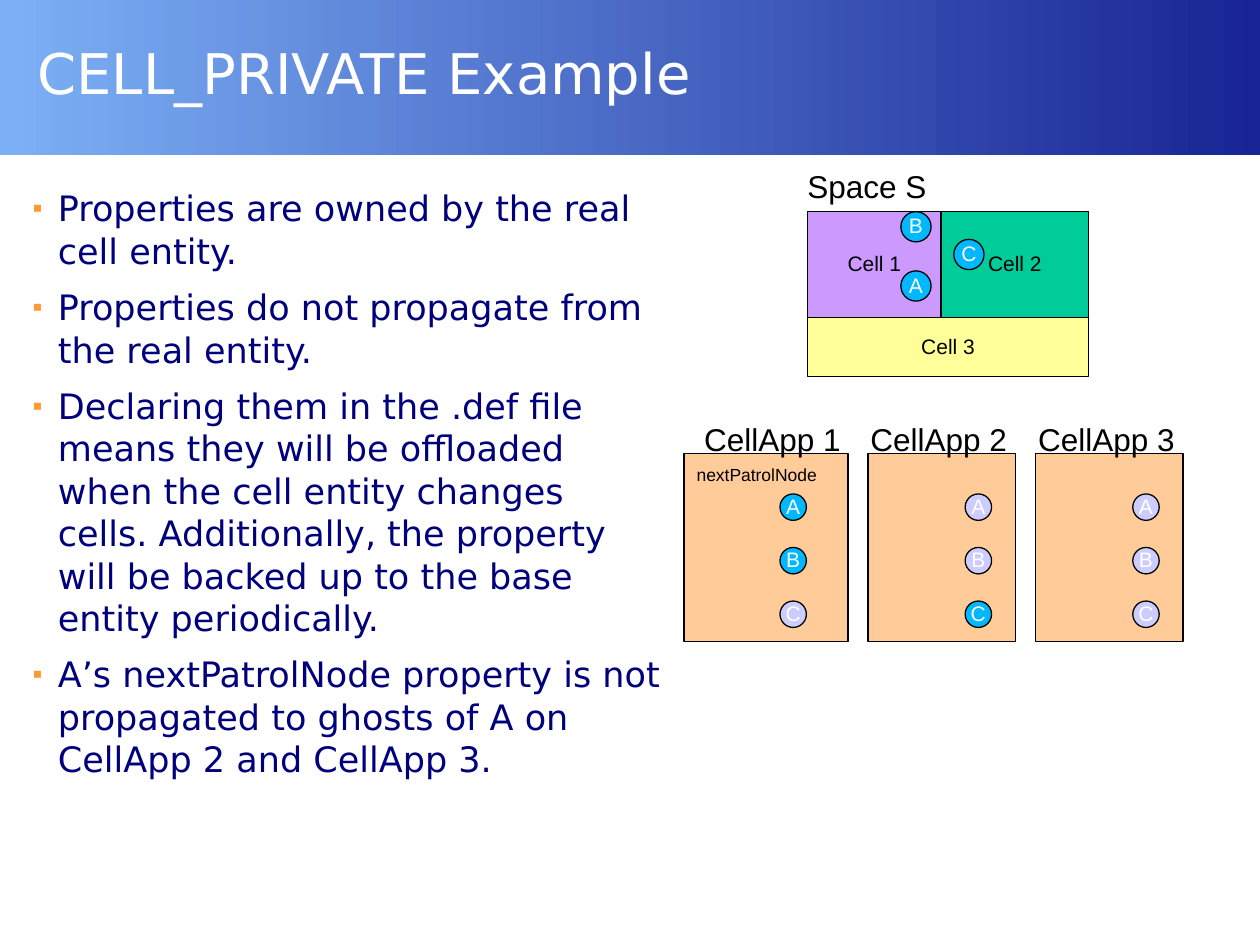
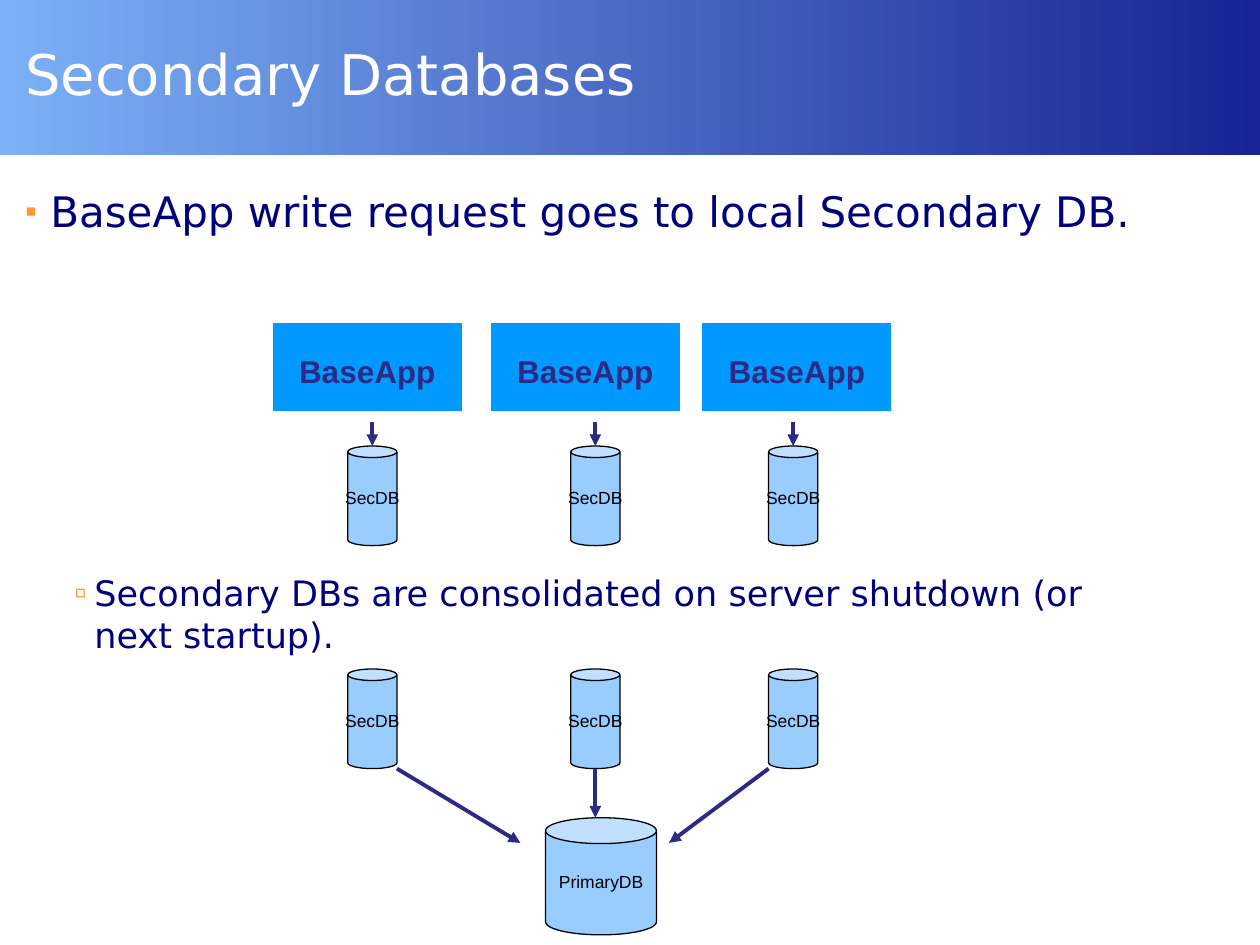
"""Builds two slides on private cell properties and secondary databases."""
import pptx
import pptx.dml.color
import pptx.enum.dml
import pptx.enum.shapes
import pptx.enum.text
import pptx.oxml.ns
import pptx.util
from lxml import etree

COLUMNS, ROWS = 100, 75
WIDTH, HEIGHT = pptx.util.Inches(10), pptx.util.Inches(7.5)
SHAPES = pptx.enum.shapes.MSO_SHAPE
ALIGN = pptx.enum.text.PP_ALIGN
ANCHOR = pptx.enum.text.MSO_ANCHOR

WHITE, BLACK, NAVY, INDIGO = "FFFFFF", "000000", "00007D", "2B2B85"
BAND_LIGHT, BAND_DARK, ORANGE = "7CB0F6", "182494", "FF9933"
PEACH, SKY, APP_BLUE, REAL, GHOST = "FFCC99", "99CCFF", "0099FF", "00B8FF", "CCCCFF"
HEADING_FONT, LABEL_FONT = "DejaVu Sans", "Arial"
SHAPE_INSETS, LABEL_INSETS, NO_INSETS = (1, 0.5, 1, 0.5), (1, 0.5, 0, 0.5), (0, 0, 0, 0)

TITLE_FORMAT = dict(name=HEADING_FONT, size=32, color=WHITE)
LABEL_FORMAT = dict(name=LABEL_FONT, size=18, color=BLACK)
CELL_FORMAT = dict(LABEL_FORMAT, size=12)
SMALL_FORMAT = dict(LABEL_FORMAT, size=10)
DOT_FORMAT = dict(CELL_FORMAT, color=WHITE)
APP_FORMAT = dict(LABEL_FORMAT, color=INDIGO, bold=True)

MAIN_BULLET = dict(mark="▪", left=2, hang=2, percent=80, before=8, level=0)
SUB_BULLET = dict(mark="▫", left=3.6, hang=1.6, percent=100, before=7, level=1)

PRIVATE_TITLE = "CELL_PRIVATE Example"
PRIVATE_POINTS = [
    "Properties are owned by the real cell entity.",
    "Properties do not propagate from the real entity.",
    "Declaring them in the .def file means they will be offloaded when the cell entity "
    "changes cells. Additionally, the property will be backed up to the base entity "
    "periodically.",
    "A’s nextPatrolNode property is not propagated to ghosts of A on CellApp 2 and CellApp 3.",
]
SPACE_LABEL = "Space S"
CELLS = [
    ("Cell 1", "CC99FF", (64.1, 16.8, 10.6, 8.4)),
    ("Cell 2", "00CC99", (74.7, 16.8, 11.7, 8.4)),
    ("Cell 3", "FFFF99", (64.1, 25.2, 22.3, 4.7)),
]
SPACE_ENTITIES = [("A", 71.5, 21.5), ("B", 71.5, 16.8), ("C", 75.7, 19)]
CELL_APPS = [
    dict(label="CellApp 1", label_x=54.9, x=54.3, width=13, dot_x=61.9, real="AB"),
    dict(label="CellApp 2", label_x=68.1, x=68.9, width=11.7, dot_x=76.6, real="C"),
    dict(label="CellApp 3", label_x=81.4, x=82.2, width=11.7, dot_x=89.9, real=""),
]
ENTITIES = "ABC"
PROPERTY = "nextPatrolNode"

DATABASE_TITLE = "Secondary Databases"
WRITE_POINT = "BaseApp write request goes to local Secondary DB."
MERGE_POINT = "Secondary DBs are consolidated on server shutdown (or next startup)."
BASE_APP, SECONDARY, PRIMARY = "BaseApp", "SecDB", "PrimaryDB"
BASE_APP_COLUMNS = [21.6, 38.9, 55.7]
DATABASE_COLUMNS = [27.6, 45.3, 61]
DATABASE_WIDTH, DATABASE_HEIGHT = 3.9, 7.9
WRITE_ROW, MERGE_ROW = 35.4, 53.1
PRIMARY_PLACE = (43.3, 64.9, 8.8, 9.3)


def across(columns):
    return round(WIDTH * columns / COLUMNS)


def down(rows):
    return round(HEIGHT * rows / ROWS)


def area(place):
    x, y, width, height = place
    return across(x), down(y), across(width), down(height)


def rgb(value):
    return pptx.dml.color.RGBColor.from_string(value)


def add_element(parent, tag, **attributes):
    element = etree.SubElement(parent, pptx.oxml.ns.qn(tag))
    for name, value in attributes.items():
        element.set(name, str(value))
    return element


def add_bullet(para, bullet):
    props = para._p.get_or_add_pPr()
    props.set("marL", str(across(bullet["left"])))
    props.set("indent", str(-across(bullet["hang"])))
    add_element(add_element(props, "a:buClr"), "a:srgbClr", val=ORANGE)
    add_element(props, "a:buSzPct", val=bullet["percent"] * 1000)
    add_element(props, "a:buFont", typeface=LABEL_FONT)
    add_element(props, "a:buChar", char=bullet["mark"])


def write(box, lines, style, insets=LABEL_INSETS, wrap=False, anchor=ANCHOR.TOP,
          align=ALIGN.LEFT, spacing=0.93, bullet=None):
    frame = box.text_frame
    left, top, right, bottom = insets
    settings = dict(word_wrap=wrap, vertical_anchor=anchor,
                    margin_left=across(left), margin_top=down(top),
                    margin_right=across(right), margin_bottom=down(bottom))
    for name, value in settings.items():
        setattr(frame, name, value)
    for index, line in enumerate(lines):
        para = frame.add_paragraph() if index else frame.paragraphs[0]
        para.alignment, para.line_spacing = align, spacing
        if bullet:
            para.level = bullet["level"]
            if index:
                para.space_before = pptx.util.Pt(bullet["before"])
            add_bullet(para, bullet)
        span = para.add_run()
        span.text = line
        for name, value in style.items():
            if name == "color":
                span.font.color.rgb = rgb(value)
            else:
                setattr(span.font, name, pptx.util.Pt(value) if name == "size" else value)


def add_text(page, place, lines, style, **options):
    write(page.shapes.add_textbox(*area(place)), lines, style, **options)


def add_bullets(page, place, lines, size, bullet, insets=NO_INSETS):
    style = dict(name=HEADING_FONT, size=size, color=NAVY)
    add_text(page, place, lines, style, insets=insets, wrap=True, spacing=1.01, bullet=bullet)


def add_figure(page, kind, place, fill, text="", style=CELL_FORMAT, outline=BLACK,
               insets=SHAPE_INSETS):
    shape = page.shapes.add_shape(kind, *area(place))
    shape.shadow.inherit = False
    shape.fill.solid()
    shape.fill.fore_color.rgb = rgb(fill)
    shape.line.color.rgb = rgb(outline)
    shape.line.width = pptx.util.Pt(0.75)
    if kind == SHAPES.CAN:
        shape.adjustments[0] = 0.234
    if text:
        write(shape, [text], style, insets=insets, anchor=ANCHOR.MIDDLE, align=ALIGN.CENTER)


def add_entity(page, letter, x, y, size, fill):
    add_figure(page, SHAPES.OVAL, (x, y, size, size), fill, letter, DOT_FORMAT)


def add_arrow(page, start, end):
    ends = [measure(value) for point in (start, end)
            for measure, value in zip((across, down), point)]
    arrow = page.shapes.add_connector(pptx.enum.shapes.MSO_CONNECTOR.STRAIGHT, *ends)
    arrow.line.color.rgb = rgb(INDIGO)
    arrow.line.width = pptx.util.Pt(2.25)
    add_element(arrow.line._get_or_add_ln(), "a:tailEnd", type="triangle")
    add_element(arrow._element.spPr, "a:effectLst")


def add_page(deck, title, place, insets):
    page = deck.slides.add_slide(deck.slide_layouts[6])
    band = page.shapes.add_shape(SHAPES.RECTANGLE, *area((0, 0, COLUMNS, 12.3)))
    band.shadow.inherit = False
    band.line.fill.background()
    band.fill.gradient()
    band.fill.gradient_angle = 0
    for stop, position, color in zip(band.fill.gradient_stops, (0, 1), (BAND_LIGHT, BAND_DARK)):
        stop.position = position
        stop.color.rgb = rgb(color)
    add_text(page, place, [title], TITLE_FORMAT, insets=insets, wrap=True,
             anchor=ANCHOR.MIDDLE, spacing=1.01)
    return page


def build_private_page(deck):
    page = add_page(deck, PRIVATE_TITLE, (2, 0, 95.7, 11.5), (1, 0.4, 1, 0.5))
    add_bullets(page, (2, 14.7, 51, 55.1), PRIVATE_POINTS, 20, MAIN_BULLET, (0.6, 0.1, 0.4, 0.5))
    for app in CELL_APPS:
        add_figure(page, SHAPES.RECTANGLE, (app["x"], 36, app["width"], 14.9), PEACH)
        add_text(page, (app["label_x"], 33.1, 12.8, 3.8), [app["label"]], LABEL_FORMAT)
        for row, letter in enumerate(ENTITIES):
            fill = REAL if letter in app["real"] else GHOST
            add_entity(page, letter, app["dot_x"], 39.2 + 4.25 * row, 2.1, fill)
    add_text(page, (CELL_APPS[0]["x"], 36.5, 11.5, 2.6), [PROPERTY], SMALL_FORMAT)
    add_text(page, (63.1, 13, 11.4, 3.8), [SPACE_LABEL], LABEL_FORMAT)
    for label, fill, place in CELLS:
        add_figure(page, SHAPES.RECTANGLE, place, fill, label)
    for letter, x, y in SPACE_ENTITIES:
        add_entity(page, letter, x, y, 2.4, REAL)


def build_database_page(deck):
    page = add_page(deck, DATABASE_TITLE, (2, 0.5, 95.7, 10.5), NO_INSETS)
    add_bullets(page, (2, 14.7, 95.7, 24.7), [WRITE_POINT], 24, MAIN_BULLET)
    add_bullets(page, (3.9, 45.3, 88.6, 7.9), [MERGE_POINT], 20, SUB_BULLET)
    for x in BASE_APP_COLUMNS:
        add_figure(page, SHAPES.RECTANGLE, (x, 25.6, 15.1, 7.1), APP_BLUE, BASE_APP,
                   APP_FORMAT, WHITE, (1, 1.4, 1, 0.5))
    for x in DATABASE_COLUMNS:
        middle = x + DATABASE_WIDTH / 2
        add_arrow(page, (middle, 33.5), (middle, WRITE_ROW))
        for y in (WRITE_ROW, MERGE_ROW):
            add_figure(page, SHAPES.CAN, (x, y, DATABASE_WIDTH, DATABASE_HEIGHT), SKY,
                       SECONDARY, SMALL_FORMAT)
    add_figure(page, SHAPES.CAN, PRIMARY_PLACE, SKY, PRIMARY, SMALL_FORMAT)
    left, centre, right = DATABASE_COLUMNS
    middle = centre + DATABASE_WIDTH / 2
    bottom = MERGE_ROW + DATABASE_HEIGHT
    primary_x, primary_y, primary_width, _ = PRIMARY_PLACE
    add_arrow(page, (left + DATABASE_WIDTH, bottom), (primary_x - 2, primary_y + 2))
    add_arrow(page, (middle, bottom), (middle, primary_y))
    add_arrow(page, (right, bottom), (primary_x + primary_width + 1, primary_y + 2))


def main():
    deck = pptx.Presentation()
    deck.slide_width, deck.slide_height = WIDTH, HEIGHT
    build_private_page(deck)
    build_database_page(deck)
    deck.save("out.pptx")


if __name__ == "__main__":
    main()
